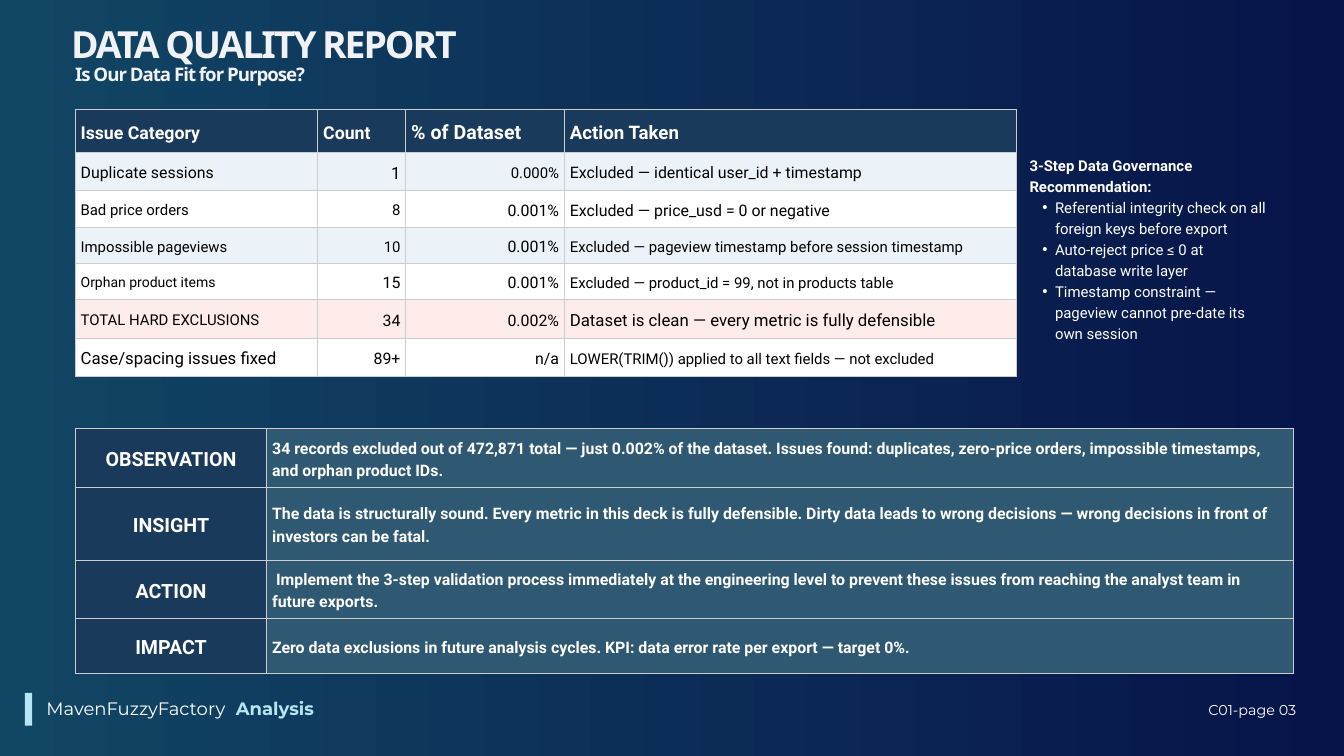
from dataclasses import dataclass
from typing import NamedTuple

from lxml.etree import SubElement
from pptx import Presentation
from pptx.dml.color import RGBColor
from pptx.enum.shapes import MSO_SHAPE
from pptx.enum.text import MSO_ANCHOR, MSO_AUTO_SIZE, PP_ALIGN
from pptx.oxml import parse_xml
from pptx.oxml.ns import nsdecls, qn
from pptx.util import Inches, Pt

WIDTH, HEIGHT = 20, 11.25
COLORS = {
    "teal": "114664", "midnight": "071449", "sky": "B7E6F3", "white": "FFFFFF",
    "title": "F0F2F5", "navy": "1A3A5C", "pale": "EBF3F8", "rose": "FDECEA",
    "slate": "2F5972", "black": "000000", "border": "CCCCCC",
}
LEFT, RIGHT, CENTER = PP_ALIGN.LEFT, PP_ALIGN.RIGHT, PP_ALIGN.CENTER
TABLE_LEADING = 1.4
FOOTER_LEADING = 0.92


def across(percent: float) -> int:
    """Length as a percentage of the slide's width."""
    return Inches(WIDTH * percent / 100)


def down(percent: float) -> int:
    """Length as a percentage of the slide's height."""
    return Inches(HEIGHT * percent / 100)


@dataclass(frozen=True)
class Area:
    left: float
    top: float
    width: float
    height: float

    def place(self) -> tuple:
        return across(self.left), down(self.top), across(self.width), down(self.height)


@dataclass(frozen=True)
class Style:
    size: float
    color: str
    font: str = "Roboto"
    bold: bool = False
    align: PP_ALIGN = LEFT
    leading: float = TABLE_LEADING
    tracking: float = 0


class Entry(NamedTuple):
    text: str
    size: float


class TableRow(NamedTuple):
    height: float
    fills: list
    entries: list


class Footer(NamedTuple):
    text: str
    area: Area
    style: Style


def style_paragraph(paragraph, style: Style) -> None:
    paragraph.alignment = style.align
    paragraph.line_spacing = Pt(round(style.size * style.leading, 1))
    paragraph.space_before = paragraph.space_after = Pt(0)
    for run in paragraph.runs:
        run.font.size, run.font.name, run.font.bold = Pt(style.size), style.font, style.bold
        run.font.color.rgb = RGBColor.from_string(COLORS[style.color])
        if style.tracking:
            run.font._element.set("spc", str(round(style.tracking * 100)))


def prepare_frame(shape, area: Area):
    shape.left, shape.top, shape.width, shape.height = area.place()
    frame = shape.text_frame
    frame.word_wrap, frame.auto_size = True, MSO_AUTO_SIZE.NONE
    frame.vertical_anchor = MSO_ANCHOR.TOP
    frame.margin_left = frame.margin_right = frame.margin_top = frame.margin_bottom = 0
    return frame


def set_bullet(paragraph, mark: str = "") -> None:
    properties = paragraph._p.get_or_add_pPr()
    properties.set("marL", str(Inches(0.38 if mark else 0)))
    properties.set("indent", str(Inches(-0.19 if mark else 0)))
    if mark:
        SubElement(properties, qn("a:buChar"), char=mark)
    else:
        SubElement(properties, qn("a:buNone"))


def border_cell(cell) -> None:
    properties = cell._tc.get_or_add_tcPr()
    for position, side in enumerate(("lnL", "lnR", "lnT", "lnB")):
        properties.insert(position, parse_xml(
            f'<a:{side} {nsdecls("a")} w="{Pt(1)}"><a:solidFill>'
            f'<a:srgbClr val="{COLORS["border"]}"/></a:solidFill></a:{side}>'))


def draw_table(slide, left: float, top: float, columns: list, rows: list, style_for) -> None:
    area = Area(left, top, sum(columns), sum(row.height for row in rows))
    table = slide.shapes.add_table(len(rows), len(columns), *area.place()).table
    table.horz_banding = False
    for column, share in zip(table.columns, columns):
        column.width = across(share)
    for r, row in enumerate(rows):
        table.rows[r].height = down(row.height)
        for c, (entry, fill) in enumerate(zip(row.entries, row.fills)):
            cell = table.cell(r, c)
            cell.margin_left = cell.margin_right = Inches(0.08)
            cell.margin_top = cell.margin_bottom = Inches(0.08)
            cell.vertical_anchor = MSO_ANCHOR.MIDDLE
            cell.fill.solid()
            cell.fill.fore_color.rgb = RGBColor.from_string(COLORS[fill])
            cell.text_frame.text = entry.text
            style_paragraph(cell.text_frame.paragraphs[0], style_for(r, c, entry.size))
            border_cell(cell)


def issue_style(row: int, column: int, size: float) -> Style:
    if row == 0:
        return Style(size, "white", bold=True)
    return Style(size, "black", align=RIGHT if column in (1, 2) else LEFT)


def finding_style(row: int, column: int, size: float) -> Style:
    return Style(size, "white", bold=True, align=LEFT if column else CENTER)


def issue_row(height: float, fill: str, texts: list, sizes: list) -> TableRow:
    return TableRow(height, [fill] * 4, [Entry(*pair) for pair in zip(texts, sizes)])


def finding_row(height: float, label: str, finding: str) -> TableRow:
    return TableRow(height, ["navy", "slate"], [Entry(label, 21), Entry(finding, 17)])


ISSUES = [
    issue_row(5.69, "navy", ["Issue Category", "Count", "% of Dataset", "Action Taken"], [19, 19, 21, 20]),
    issue_row(5.07, "pale", ["Duplicate sessions", "1", "0.000%",
                             "Excluded — identical user_id + timestamp"], [17, 18, 16, 17]),
    issue_row(4.8, "white", ["Bad price orders", "8", "0.001%",
                             "Excluded — price_usd = 0 or negative"], [16, 16, 17, 17]),
    issue_row(4.8, "pale", ["Impossible pageviews", "10", "0.001%",
                            "Excluded — pageview timestamp before session timestamp"], [16, 16, 17, 16]),
    issue_row(4.8, "white", ["Orphan product items", "15", "0.001%",
                             "Excluded — product_id = 99, not in products table"], [15, 17, 17, 16]),
    issue_row(5.07, "rose", ["TOTAL HARD EXCLUSIONS", "34", "0.002%",
                             "Dataset is clean — every metric is fully defensible"], [16, 17, 17, 18]),
    issue_row(5.07, "white", ["Case/spacing issues fixed", "89+", "n/a",
                              "LOWER(TRIM()) applied to all text fields — not excluded"], [18, 17, 17, 16]),
]
FINDINGS = [
    finding_row(7.73, "OBSERVATION", "34 records excluded out of 472,871 total — just 0.002% of the dataset. "
                "Issues found: duplicates, zero-price orders, impossible timestamps, and orphan product IDs."),
    finding_row(9.69, "INSIGHT", "The data is structurally sound. Every metric in this deck is fully defensible. "
                "Dirty data leads to wrong decisions — wrong decisions in front of investors can be fatal."),
    finding_row(7.73, "ACTION", " Implement the 3-step validation process immediately at the engineering level "
                "to prevent these issues from reaching the analyst team in future exports."),
    finding_row(7.2, "IMPACT", "Zero data exclusions in future analysis cycles. "
                "KPI: data error rate per export — target 0%."),
]
GOVERNANCE = [
    "3-Step Data Governance Recommendation:",
    "Referential integrity check on all foreign keys before export",
    "Auto-reject price ≤ 0 at database write layer",
    "Timestamp constraint — pageview cannot pre-date its own session",
]
FOOTERS = [
    Footer("MavenFuzzyFactory", Area(3.45, 92.89, 15.15, 2.4),
           Style(19.3, "white", "Montserrat", leading=FOOTER_LEADING)),
    Footer("Analysis", Area(17.55, 92.89, 7.25, 2.4),
           Style(19.3, "sky", "Montserrat", bold=True, leading=FOOTER_LEADING)),
    Footer("C01-page 03", Area(86, 93.33, 10.45, 1.96),
           Style(15.3, "white", "Montserrat", align=RIGHT, leading=FOOTER_LEADING)),
]


def main() -> None:
    deck = Presentation()
    deck.slide_width, deck.slide_height = Inches(WIDTH), Inches(HEIGHT)
    slide = deck.slides.add_slide(deck.slide_layouts[1])

    # Background
    backdrop = slide.background.fill
    backdrop.gradient()
    backdrop.gradient_angle = 0
    for stop, position, color in zip(backdrop.gradient_stops, (0, 1), ("teal", "midnight")):
        stop.position, stop.color.rgb = position, RGBColor.from_string(COLORS[color])

    # Title and subtitle
    heading = prepare_frame(slide.shapes.title, Area(5.3, 3.82, 31.75, 7.29))
    heading.text = "DATA QUALITY REPORT\n Is Our Data Fit for Purpose?"
    for paragraph, size, tracking in zip(heading.paragraphs, (40, 20), (-2.2, -1.1)):
        style_paragraph(paragraph, Style(size, "title", "Noto Sans", True, leading=1, tracking=tracking))

    # Governance steps
    steps = prepare_frame(slide.placeholders[1], Area(76.6, 20.36, 17.8, 26.84))
    steps.text = "\n".join(GOVERNANCE)
    for number, paragraph in enumerate(steps.paragraphs):
        set_bullet(paragraph, "•" if number else "")
        style_paragraph(paragraph, Style(16, "white", bold=number == 0))

    # Issue and finding tables
    draw_table(slide, 5.6, 14.49, [18.05, 6.55, 11.8, 33.6], ISSUES, issue_style)
    draw_table(slide, 5.6, 56.71, [14.25, 76.35], FINDINGS, finding_style)

    # Footer
    accent = slide.shapes.add_shape(MSO_SHAPE.RECTANGLE, *Area(1.85, 91.64, 0.55, 4.36).place())
    accent.shadow.inherit = False
    accent.fill.solid()
    accent.fill.fore_color.rgb = RGBColor.from_string(COLORS["sky"])
    accent.line.fill.background()
    for footer in FOOTERS:
        frame = prepare_frame(slide.shapes.add_textbox(*footer.area.place()), footer.area)
        frame.text = footer.text
        style_paragraph(frame.paragraphs[0], footer.style)

    deck.save("out.pptx")


if __name__ == "__main__":
    main()
